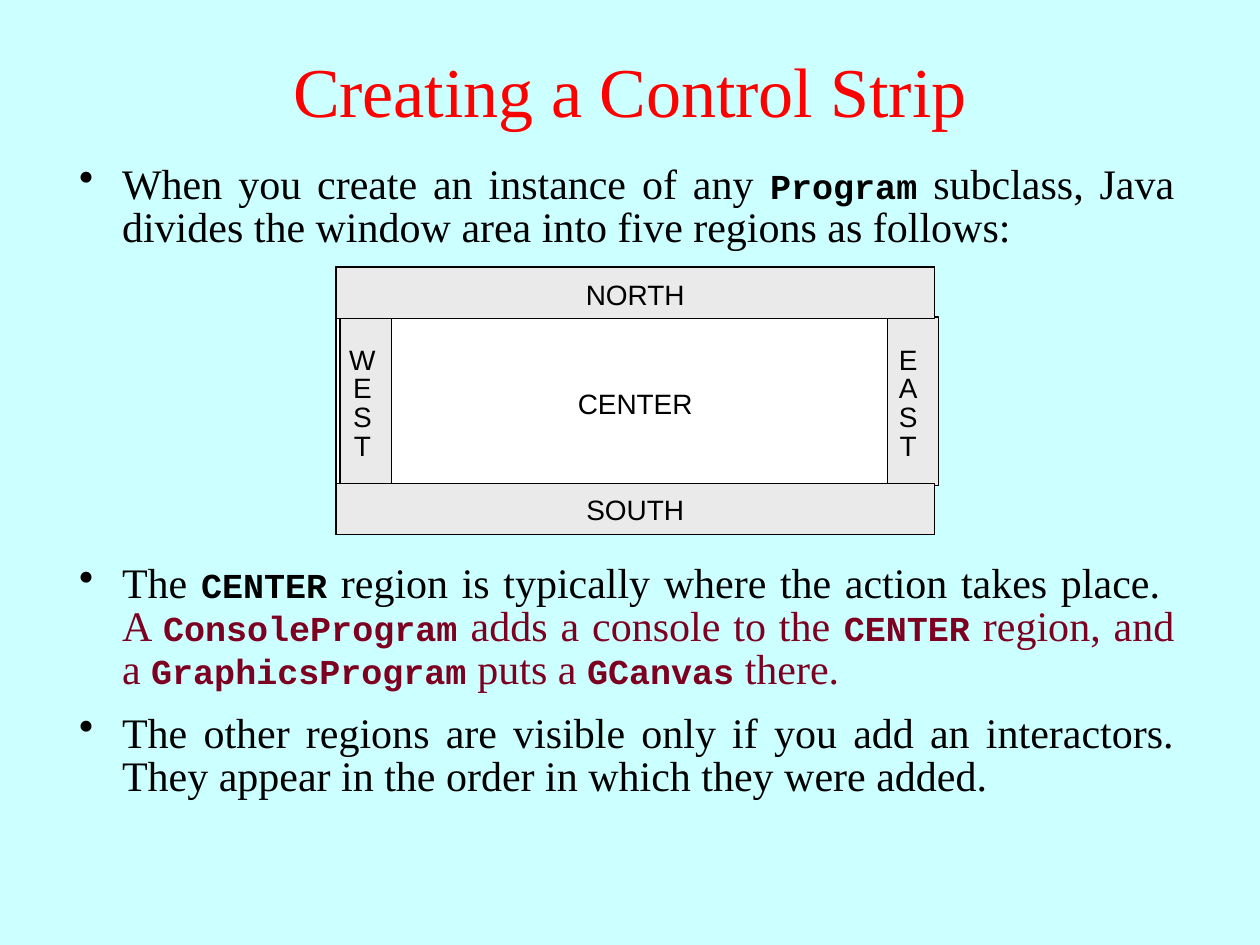
import lxml.etree
import pptx
import pptx.dml.color
import pptx.enum.shapes
import pptx.enum.text
import pptx.oxml.ns
import pptx.util

Pt = pptx.util.Pt
ALIGN = pptx.enum.text.PP_ALIGN
BLACK, RED, MAROON = "000000", "FF0000", "7E0021"
WHITE, GRAY, PALE_CYAN = "FFFFFF", "EAEAEA", "CCFFFF"


def color(hex_string):
    """Return the RGB colour for a hex string."""
    return pptx.dml.color.RGBColor.from_string(hex_string)


def add_run(paragraph, text, size, font_name, hex_string=BLACK, bold=False):
    """Append one formatted run to a paragraph."""
    run = paragraph.add_run()
    run.text = text
    run.font.size = Pt(size)
    run.font.name = font_name
    run.font.bold = bold
    run.font.color.rgb = color(hex_string)


def add_text_box(slide, box, alignment):
    """Add a wrapping text box and return its shape and first paragraph."""
    shape = slide.shapes.add_textbox(*map(Pt, box))
    shape.text_frame.word_wrap = True
    paragraph = shape.text_frame.paragraphs[0]
    paragraph.alignment = alignment
    return shape, paragraph


def add_title(slide, box, text):
    """Place and format the title placeholder."""
    title = slide.shapes.title
    title.left, title.top, title.width, title.height = map(Pt, box)
    title.text_frame.vertical_anchor = pptx.enum.text.MSO_ANCHOR.MIDDLE
    paragraph = title.text_frame.paragraphs[0]
    paragraph.alignment = ALIGN.CENTER
    add_run(paragraph, text, 40, "Times New Roman", RED)


def add_bullet(slide, box, pieces):
    """Add a justified bullet from (text, is code, colour) pieces."""
    shape, paragraph = add_text_box(slide, box, ALIGN.JUSTIFY)
    paragraph.line_spacing = 0.85
    paragraph.space_after = Pt(15)
    properties = paragraph._p.get_or_add_pPr()
    properties.set("marL", str(Pt(24.5)))
    properties.set("indent", str(-Pt(24.5)))
    qualified = pptx.oxml.ns.qn
    bullet_color = lxml.etree.SubElement(properties, qualified("a:buClr"))
    lxml.etree.SubElement(bullet_color, qualified("a:srgbClr"), val=BLACK)
    lxml.etree.SubElement(properties, qualified("a:buChar"), char="•")
    for text, is_code, hex_string in pieces:
        size, font_name = (20, "Courier New") if is_code else (24, "Times New Roman")
        add_run(paragraph, text, size, font_name, hex_string, is_code)


def add_region(slide, box, fill):
    """Add one outlined rectangle of the window diagram."""
    shape = slide.shapes.add_shape(pptx.enum.shapes.MSO_SHAPE.RECTANGLE, *map(Pt, box))
    shape.shadow.inherit = False
    shape.fill.solid()
    shape.fill.fore_color.rgb = color(fill)
    shape.line.color.rgb = color(BLACK)
    shape.line.width = Pt(0.75)


def add_label(slide, box, text, line_spacing=None):
    """Add the centred name of a region."""
    shape, paragraph = add_text_box(slide, box, ALIGN.CENTER)
    shape.text_frame.auto_size = pptx.enum.text.MSO_AUTO_SIZE.SHAPE_TO_FIT_TEXT
    if line_spacing:
        paragraph.line_spacing = line_spacing
    else:
        paragraph.space_before = Pt(10)
    add_run(paragraph, text, 16, "Arial")


def add_window_diagram(slide, box):
    """Draw the five window regions and their labels within the box."""
    left, top, width, height = box
    band, label_height, side_width, side_height = 29.5, 26.6, 30.2, 72.7
    side_top, side_region_height = top + 28.5, 96.5
    south_top = top + height - band
    east_left = left + width - side_width
    add_region(slide, box, WHITE)
    for region_left in (left + 2.25, left + width - band + 2.5):
        add_region(slide, (region_left, side_top, band, side_region_height), GRAY)
    for region_top in (top, south_top):
        add_region(slide, (left, region_top, width, band), GRAY)
    add_label(slide, (left + side_width, top + 64.8, width - 2 * side_width, label_height), "CENTER")
    for label_top, text in ((top + 2.2, "NORTH"), (south_top + 1.8, "SOUTH")):
        add_label(slide, (left, label_top, width, label_height), text)
    for label_left, text in ((left, "WEST"), (east_left, "EAST")):
        add_label(slide, (label_left, top + 42.5, side_width, side_height), text, 0.85)


def build_slide(presentation):
    """Build the control strip slide."""
    slide = presentation.slides.add_slide(presentation.slide_layouts[5])
    slide.background.fill.solid()
    slide.background.fill.fore_color.rgb = color(PALE_CYAN)
    add_title(slide, (0, 6, 720, 90), "Creating a Control Strip")
    bullets = (
        (90.7, 89.3, (
            ("When you create an instance of any ", False, BLACK),
            ("Program", True, BLACK),
            (" subclass, Java divides the window area into five regions as follows:", False, BLACK),
        )),
        (319, 89.3, (
            ("The ", False, BLACK),
            ("CENTER", True, BLACK),
            (" region is typically where the action takes place.  ", False, BLACK),
            ("A ", False, MAROON),
            ("ConsoleProgram", True, MAROON),
            (" adds a console to the ", False, MAROON),
            ("CENTER", True, MAROON),
            (" region, and a ", False, MAROON),
            ("GraphicsProgram", True, MAROON),
            (" puts a ", False, MAROON),
            ("GCanvas", True, MAROON),
            (" there.", False, MAROON),
        )),
        (404.6, 110.9, (
            ("The other regions are visible only if you add an interactors. "
             "They appear in the order in which they were added.", False, BLACK),
        )),
    )
    for top, height, pieces in bullets:
        add_bullet(slide, (38.2, top, 640, height), pieces)
    add_window_diagram(slide, (192, 152.6, 342, 153))


def main():
    """Create and save the presentation."""
    presentation = pptx.Presentation()
    presentation.slide_width = Pt(720)
    presentation.slide_height = Pt(540)
    build_slide(presentation)
    presentation.save("out.pptx")


if __name__ == "__main__":
    main()
